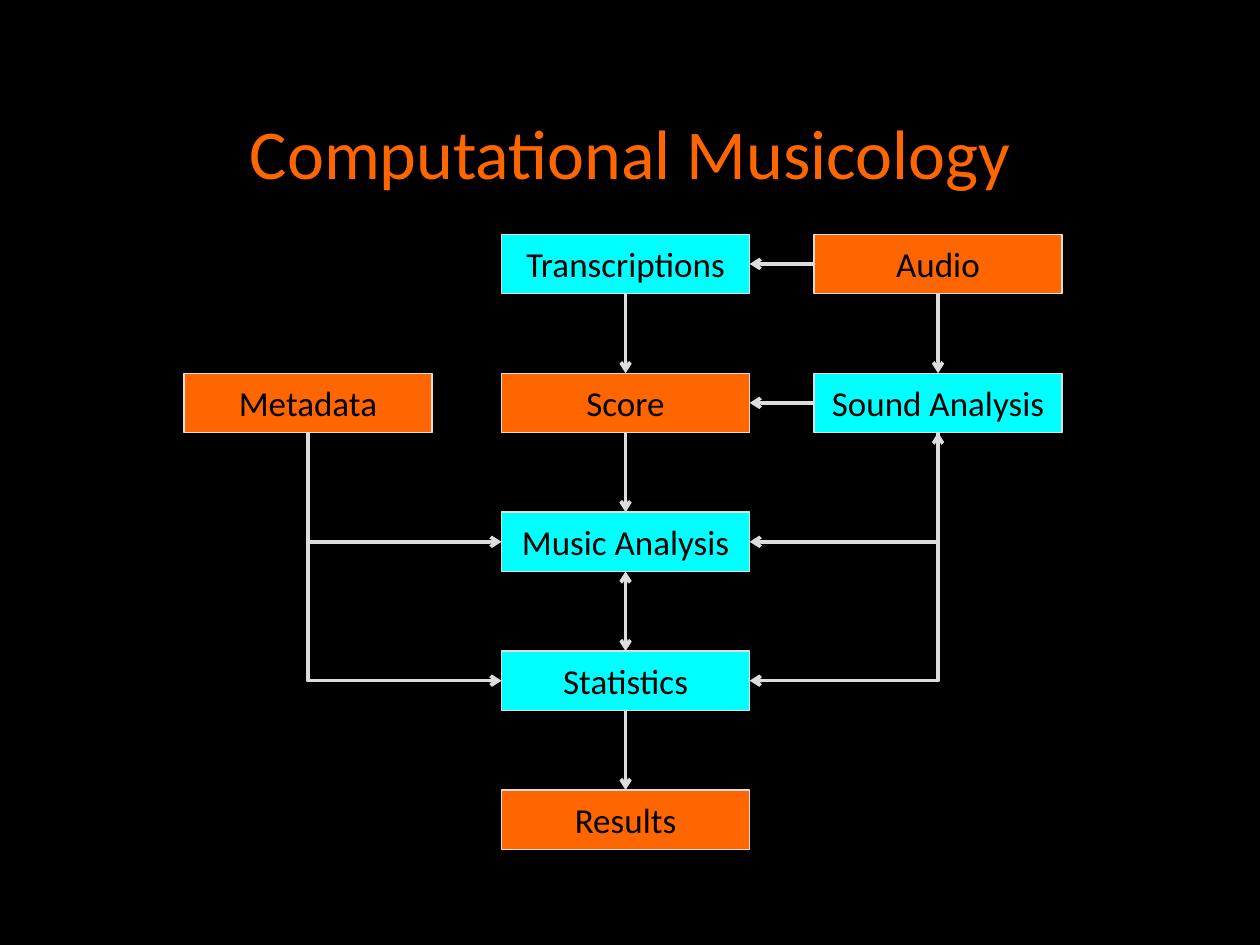
"""Flow diagram of computational musicology on a dark slide."""
from dataclasses import dataclass

from lxml import etree
from pptx import Presentation
from pptx.dml.color import RGBColor
from pptx.enum.shapes import MSO_CONNECTOR, MSO_SHAPE
from pptx.enum.text import MSO_ANCHOR, PP_ALIGN
from pptx.oxml.ns import qn
from pptx.util import Inches, Pt

STRAIGHT, ELBOW = MSO_CONNECTOR.STRAIGHT, MSO_CONNECTOR.ELBOW
RECT = MSO_SHAPE.RECTANGLE
CENTER, MIDDLE = PP_ALIGN.CENTER, MSO_ANCHOR.MIDDLE
TOP, LEFT, BOTTOM, RIGHT = range(4)
TITLE_ONLY = 5


@dataclass(frozen=True)
class Theme:
    back: RGBColor = RGBColor(0x00, 0x00, 0x00)
    data: RGBColor = RGBColor(0xFF, 0x66, 0x00)
    process: RGBColor = RGBColor(0x00, 0xFF, 0xFF)
    line: RGBColor = RGBColor(0xDD, 0xDD, 0xDD)
    font: str = "Calibri"
    title_size: Pt = Pt(40)
    box_size: Pt = Pt(20)
    border: Pt = Pt(0.75)
    arrow: Pt = Pt(2)


class Diagram:
    columns = (1.46, 3.98, 6.46)
    first_row, row_pitch = 1.86, 4.41 / 4
    box_width, box_height = 1.97, 0.47

    def __init__(self, prs, theme):
        self.theme = theme
        self.width, self.height = prs.slide_width, prs.slide_height
        self.s = prs.slides.add_slide(prs.slide_layouts[TITLE_ONLY])
        fill = self.s.background.fill
        fill.solid()
        fill.fore_color.rgb = theme.back

    def label(self, sp, text, size, color):
        tf = sp.text_frame
        tf.text = text
        tf.vertical_anchor = MIDDLE
        p = tf.paragraphs[0]
        p.alignment = CENTER
        font = p.runs[0].font
        font.name, font.size = self.theme.font, size
        font.color.rgb = color

    def title(self, text):
        sp = self.s.shapes.title
        sp.left, sp.top = int(self.width * 0.075), int(self.height * 0.08)
        sp.width, sp.height = int(self.width * 0.85), int(self.height * 0.16)
        self.label(sp, text, self.theme.title_size, self.theme.data)

    def box(self, text, column, row, color):
        sp = self.s.shapes.add_shape(
            RECT, Inches(self.columns[column]),
            Inches(self.first_row + row * self.row_pitch),
            Inches(self.box_width), Inches(self.box_height))
        sp.shadow.inherit = False
        sp.fill.solid()
        sp.fill.fore_color.rgb = color
        sp.line.color.rgb = self.theme.line
        sp.line.width = self.theme.border
        self.label(sp, text, self.theme.box_size, self.theme.back)
        sp.text_frame.word_wrap = False
        return sp

    def connect(self, kind, start, start_side, end, end_side, both=False):
        c = self.s.shapes.add_connector(kind, 0, 0, 0, 0)
        c.begin_connect(start, start_side)
        c.end_connect(end, end_side)
        c.line.color.rgb = self.theme.line
        c.line.width = self.theme.arrow
        sp_pr = c._element.spPr
        ln = sp_pr.find(qn("a:ln"))
        for tag in ("a:headEnd", "a:tailEnd")[0 if both else 1:]:
            etree.SubElement(ln, qn(tag), type="arrow")
        etree.SubElement(sp_pr, qn("a:effectLst"))
        return c

    def arrow(self, start, start_side, end, end_side, both=False):
        self.connect(STRAIGHT, start, start_side, end, end_side, both)

    def corner(self, start, end, end_side, both=False):
        """Run down from the start box, then sideways into the end box."""
        c = self.connect(ELBOW, start, BOTTOM, end, end_side, both)
        across, down = c.end_x - c.begin_x, c.end_y - c.begin_y
        mid_x, mid_y = c.begin_x + across // 2, c.begin_y + down // 2
        c.width, c.height = down, abs(across)
        c.left, c.top = mid_x - c.width // 2, mid_y - c.height // 2
        sp_pr = c._element.spPr
        sp_pr.find(qn("a:prstGeom")).set("prst", "bentConnector2")
        xfrm = sp_pr.find(qn("a:xfrm"))
        xfrm.set("rot", str((270 if across > 0 else 90) * 60000))
        xfrm.set("flipH", "1" if across > 0 else "0")


def main():
    prs = Presentation()
    prs.slide_width, prs.slide_height = Inches(10), Inches(7.5)
    theme = Theme()
    d = Diagram(prs, theme)
    d.title("Computational Musicology")

    transcriptions = d.box("Transcriptions", 1, 0, theme.process)
    audio = d.box("Audio", 2, 0, theme.data)
    metadata = d.box("Metadata", 0, 1, theme.data)
    score = d.box("Score", 1, 1, theme.data)
    sound = d.box("Sound Analysis", 2, 1, theme.process)
    music = d.box("Music Analysis", 1, 2, theme.process)
    statistics = d.box("Statistics", 1, 3, theme.process)
    results = d.box("Results", 1, 4, theme.data)

    for upper, lower in ((transcriptions, score), (audio, sound),
                         (score, music), (statistics, results)):
        d.arrow(upper, BOTTOM, lower, TOP)
    d.arrow(music, BOTTOM, statistics, TOP, both=True)
    for source, target in ((audio, transcriptions), (sound, score)):
        d.arrow(source, LEFT, target, RIGHT)
    for target in (music, statistics):
        d.corner(metadata, target, LEFT)
        d.corner(sound, target, RIGHT, both=target is music)

    prs.save("out.pptx")


if __name__ == "__main__":
    main()
